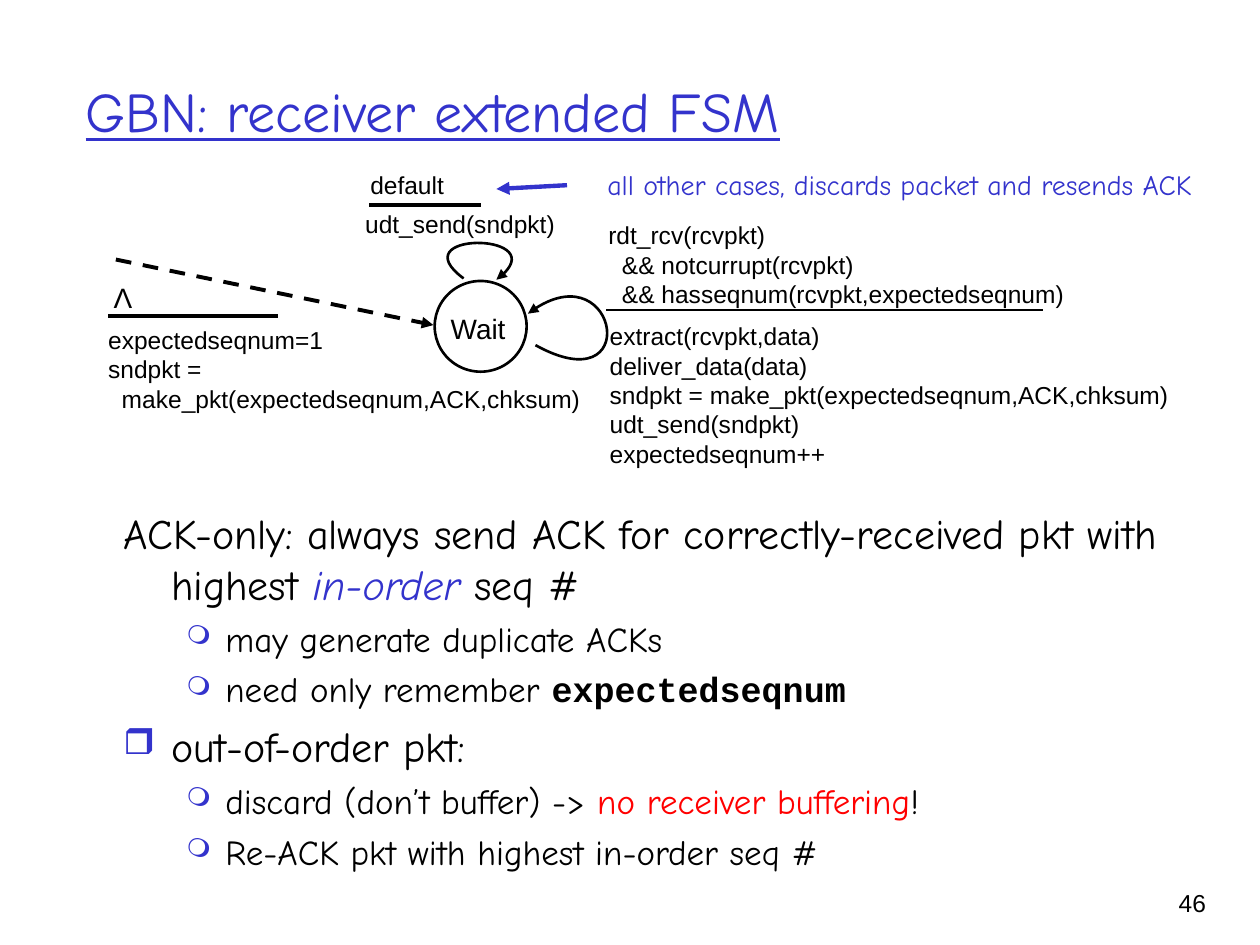
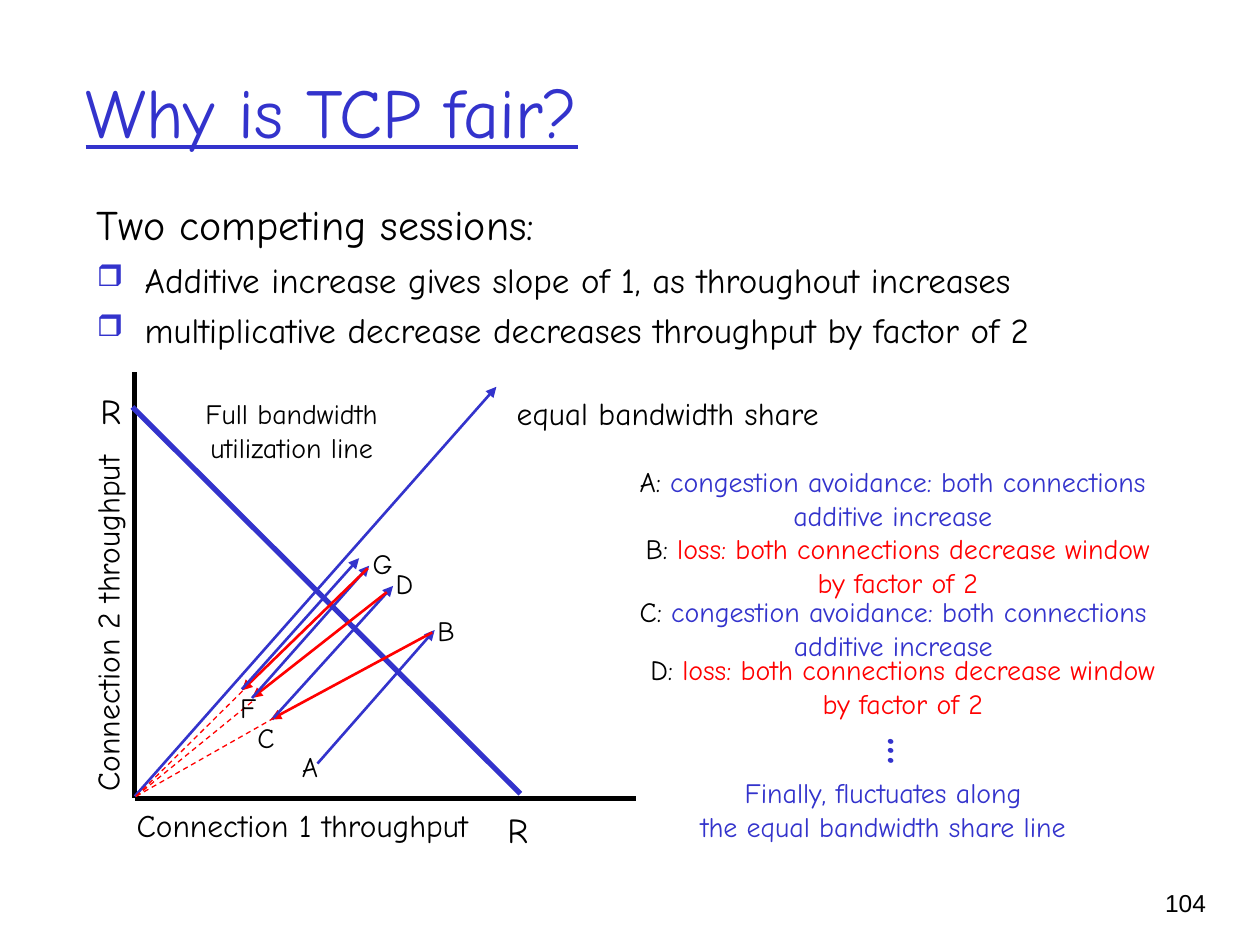
from dataclasses import dataclass

from lxml import etree
from pptx import Presentation
from pptx.dml.color import RGBColor
from pptx.enum.dml import MSO_LINE
from pptx.enum.shapes import MSO_CONNECTOR, MSO_SHAPE
from pptx.enum.text import MSO_ANCHOR, PP_ALIGN
from pptx.oxml.ns import qn
from pptx.shapes.base import BaseShape
from pptx.slide import Slide
from pptx.text.text import TextFrame, _Run
from pptx.util import Pt

# Shared look: one px is a hundredth of an inch
PX = 9144
BLACK = RGBColor(0x00, 0x00, 0x00)
WHITE = RGBColor(0xFF, 0xFF, 0xFF)
BLUE = RGBColor(0x33, 0x33, 0xCC)
RED = RGBColor(0xFF, 0x00, 0x00)
HAND, SANS, MONO = "Comic Neue", "Arial", "Courier New"
LEFT, MID, RIGHT = PP_ALIGN.LEFT, PP_ALIGN.CENTER, PP_ALIGN.RIGHT
MIDDLE = MSO_ANCHOR.MIDDLE
DASH, STRAIGHT = MSO_LINE.DASH, MSO_CONNECTOR.STRAIGHT
OVAL = MSO_SHAPE.OVAL
BOX, RING = "❒", "❍"
TITLE_ONLY = 5

Point = tuple[int, int]
Area = tuple[int, int, int, int]


@dataclass(frozen=True)
class Span:
    text: str
    color: RGBColor = BLACK
    face: str = HAND
    bold: bool = False
    slant: bool = False


@dataclass(frozen=True)
class Para:
    spans: tuple[Span, ...]
    size: int = 20
    mark: str = ""
    align: PP_ALIGN = LEFT


@dataclass(frozen=True)
class Label:
    area: Area
    text: str
    size: int = 16
    color: RGBColor = BLACK
    face: str = HAND
    align: PP_ALIGN = MID
    turn: int = 0


@dataclass(frozen=True)
class Line:
    start: Point
    end: Point
    color: RGBColor = BLACK
    width: float = 1.5
    arrow: bool = False
    dash: bool = False


# Drawing helpers
def scale(*sizes: int) -> list[int]:
    return [size * PX for size in sizes]


def style(run: _Run, size: int, span: Span) -> None:
    font = run.font
    font.size, font.name = Pt(size), span.face
    font.bold, font.italic = span.bold, span.slant
    font.color.rgb = span.color


def add_box(slide: Slide, area: Area, wrap: bool) -> BaseShape:
    box = slide.shapes.add_textbox(*scale(*area))
    box.text_frame.word_wrap = wrap
    return box


def add_label(slide: Slide, label: Label) -> None:
    box = add_box(slide, label.area, label.align != MID)
    box.rotation = label.turn
    box.text_frame.text = label.text
    for para in box.text_frame.paragraphs:
        para.alignment = label.align
        for run in para.runs:
            style(run, label.size, Span(run.text, label.color, label.face))


def add_code(slide: Slide, area: Area, *lines: str) -> None:
    add_label(slide, Label(area, "\n".join(lines), 14, BLACK, SANS, LEFT))


def set_mark(props: etree._Element, mark: str) -> None:
    color = etree.SubElement(props, qn("a:buClr"))
    etree.SubElement(color, qn("a:srgbClr"), val=str(BLUE))
    share = "75000" if mark == RING else "85000"
    etree.SubElement(props, qn("a:buSzPct"), val=share)
    etree.SubElement(props, qn("a:buChar"), char=mark)


def fill_paras(frame: TextFrame, items: list[Para]) -> None:
    for index, item in enumerate(items):
        para = frame.add_paragraph() if index else frame.paragraphs[0]
        props = para._p.get_or_add_pPr()
        if item.align == LEFT:
            inset, hang = (81, 31) if item.mark == RING else (38, 38)
            props.set("marL", str(inset * PX))
            props.set("indent", str(-hang * PX))
        if item.mark:
            set_mark(props, item.mark)
        para.alignment = item.align
        para.level = int(item.mark == RING)
        if index and item.align == LEFT:
            para.space_before = Pt(item.size // 4)
        for span in item.spans:
            run = para.add_run()
            run.text = span.text
            style(run, item.size, span)


def add_paras(slide: Slide, area: Area, items: list[Para]) -> None:
    fill_paras(add_box(slide, area, True).text_frame, items)


def set_arrow(shape: BaseShape) -> None:
    etree.SubElement(shape.line._get_or_add_ln(), qn("a:tailEnd"), type="triangle")


def add_line(slide: Slide, line: Line) -> None:
    wire = slide.shapes.add_connector(STRAIGHT, *scale(*line.start, *line.end))
    wire.line.color.rgb = line.color
    wire.line.width = Pt(line.width)
    if line.dash:
        wire.line.dash_style = DASH
    if line.arrow:
        set_arrow(wire)
    etree.SubElement(wire.element.spPr, qn("a:effectLst"))


def add_loop(slide: Slide, start: Point, *pulls: Point) -> None:
    pen = slide.shapes.build_freeform(*start, scale=PX)
    pen.add_line_segments(pulls, close=False)
    loop = pen.convert_to_shape()
    # Turn the three segments into one cubic curve
    steps = list(loop.element.iter(qn("a:lnTo")))
    home = steps[0].getparent()
    curve = etree.SubElement(home, qn("a:cubicBezTo"))
    for step in steps:
        curve.append(step[0])
        home.remove(step)
    loop.fill.background()
    loop.line.color.rgb = BLACK
    loop.line.width = Pt(1.5)
    loop.shadow.inherit = False
    set_arrow(loop)


def add_slide(deck: Presentation, text: str, size: int, page: int) -> Slide:
    slide = deck.slides.add_slide(deck.slide_layouts[TITLE_ONLY])
    title = slide.shapes.title
    title.left, title.top, title.width, title.height = scale(58, 25, 850, 125)
    frame = title.text_frame
    frame.text = text
    frame.vertical_anchor = MIDDLE
    frame.word_wrap = True
    para = frame.paragraphs[0]
    para.alignment = LEFT
    style(para.runs[0], size, Span(text, BLUE))
    para.runs[0].font.underline = True
    add_label(slide, Label((893, 700, 74, 50), str(page), 14, BLACK, SANS, RIGHT))
    return slide


# Slide 1: state machine above the notes
def build_fsm(deck: Presentation) -> None:
    slide = add_slide(deck, "GBN: receiver extended FSM", 32, 46)
    add_paras(slide, (88, 398, 891, 312), [
        Para((Span("ACK-only: always send ACK for correctly-received pkt with highest "),
              Span("in-order", BLUE, slant=True), Span(" seq #")), 24),
        Para((Span("may generate duplicate ACKs"),), mark=RING),
        Para((Span("need only remember "),
              Span("expectedseqnum", face=MONO, bold=True)), mark=RING),
        Para((Span("out-of-order pkt:"),), 24, BOX),
        Para((Span("discard (don’t buffer) -> "),
              Span("no receiver buffering", RED), Span("!")), mark=RING),
        Para((Span("Re-ACK pkt with highest in-order seq #"),), mark=RING),
    ])

    # State with its two loops
    state = slide.shapes.add_shape(OVAL, *scale(345, 223, 73, 72))
    state.fill.solid()
    state.fill.fore_color.rgb = WHITE
    state.line.color.rgb = BLACK
    state.line.width = Pt(1.5)
    state.shadow.inherit = False
    add_loop(slide, (425, 274), (510, 321), (490, 195), (419, 249))
    add_loop(slide, (368, 221), (318, 184), (445, 184), (394, 222))

    # Entry arrow, event rules and pointer
    for line in (
        Line((92, 206), (344, 258), width=2.25, arrow=True, dash=True),
        Line((293, 163), (382, 163), width=2.25),
        Line((481, 246), (828, 246)),
        Line((86, 251), (221, 251), width=2.25),
        Line((450, 147), (394, 150), BLUE, 2.5, arrow=True),
    ):
        add_line(slide, line)

    # Events and actions
    add_code(slide, (284, 130, 79, 27), "default")
    add_code(slide, (280, 161, 177, 34), "udt_send(sndpkt)")
    add_code(slide, (473, 170, 390, 62), "rdt_rcv(rcvpkt)",
             "  && notcurrupt(rcvpkt)", "  && hasseqnum(rcvpkt,expectedseqnum)")
    add_code(slide, (474, 250, 472, 94), "extract(rcvpkt,data)",
             "deliver_data(data)", "sndpkt = make_pkt(expectedseqnum,ACK,chksum)",
             "udt_send(sndpkt)", "expectedseqnum++")
    add_code(slide, (76, 253, 398, 107), "expectedseqnum=1", "sndpkt =",
             "  make_pkt(expectedseqnum,ACK,chksum)")
    add_label(slide, Label((336, 242, 87, 26), "Wait", face=SANS))
    add_label(slide, Label((80, 218, 35, 37), "Λ", face=SANS))
    add_label(slide, Label((471, 128, 486, 37),
                           "all other cases, discards packet and resends ACK", color=BLUE))


# Slide 2: throughput plot beside its steps
def build_fair(deck: Presentation) -> None:
    slide = add_slide(deck, "Why is TCP fair?", 40, 104)
    add_paras(slide, (67, 153, 908, 508), [
        Para((Span("Two competing sessions:"),), 24),
        Para((Span("Additive increase gives slope of 1, as throughout increases"),), mark=BOX),
        Para((Span("multiplicative decrease decreases throughput by factor of 2"),), mark=BOX),
    ])

    # Steps A to D alternate between growth and loss
    grow = Span(" congestion avoidance: both connections additive increase", BLUE)
    loss = Span(" loss: both connections decrease window", RED)
    tail = Para((Span("by factor of 2", RED),), 16, align=MID)
    for name, area, span in (
        ("A:", (472, 364, 473, 64), grow),
        ("B:", (498, 417, 429, 64), loss),
        ("C:", (461, 467, 496, 64), grow),
        ("D:", (502, 513, 429, 64), loss),
    ):
        lead = Para((Span(name), span), 16, align=MID)
        add_paras(slide, area, [lead, tail] if span is loss else [lead])

    # Axes, share line and full use line
    for line in (
        Line((107, 634), (505, 634), width=3),
        Line((107, 633), (107, 295), width=3),
        Line((107, 632), (394, 307), BLUE, arrow=True),
        Line((105, 323), (413, 630), BLUE, 3),
    ):
        add_line(slide, line)

    # Each rise is followed by a fall towards the origin
    for start, end in (
        ((252, 606), (345, 500)), ((343, 502), (215, 571)),
        ((216, 571), (312, 465)), ((307, 470), (200, 554)),
        ((200, 554), (293, 449)), ((292, 451), (192, 548)),
        ((192, 547), (285, 443)),
    ):
        color = BLUE if end[1] < start[1] else RED
        add_line(slide, Line(start, end, color, arrow=True))
    for end in ((219, 569), (200, 557), (194, 547)):
        add_line(slide, Line((108, 632), end, RED, 0.75, dash=True))

    # Plot labels
    for name, x, y in (("A", 229, 590), ("B", 337, 482), ("C", 194, 567),
                       ("D", 304, 445), ("F", 180, 543), ("G", 286, 429)):
        add_label(slide, Label((x, y, 34, 37), name))
    for x, y in ((66, 304), (389, 637)):
        add_label(slide, Label((x, y, 44, 44), "R", 20))
    for text, x, y, turn in (
        ("equal bandwidth share", 336, 308, 0),
        ("Connection 1 throughput", 46, 635, 0),
        ("Connection 2 throughput", -109, 475, 270),
    ):
        add_label(slide, Label((x, y, 388, 40), text, 18, turn=turn))
    add_label(slide, Label((153, 310, 157, 64), "Full bandwidth\nutilization line"))
    add_label(slide, Label((668, 561, 43, 70), "...", 36, BLUE, turn=270))
    add_label(slide, Label((546, 611, 310, 64),
                           "Finally, fluctuates along\nthe equal bandwidth share line",
                           color=BLUE))


def main() -> None:
    deck = Presentation()
    deck.slide_width, deck.slide_height = scale(1000, 750)
    build_fsm(deck)
    build_fair(deck)
    deck.save("out.pptx")


if __name__ == "__main__":
    main()
